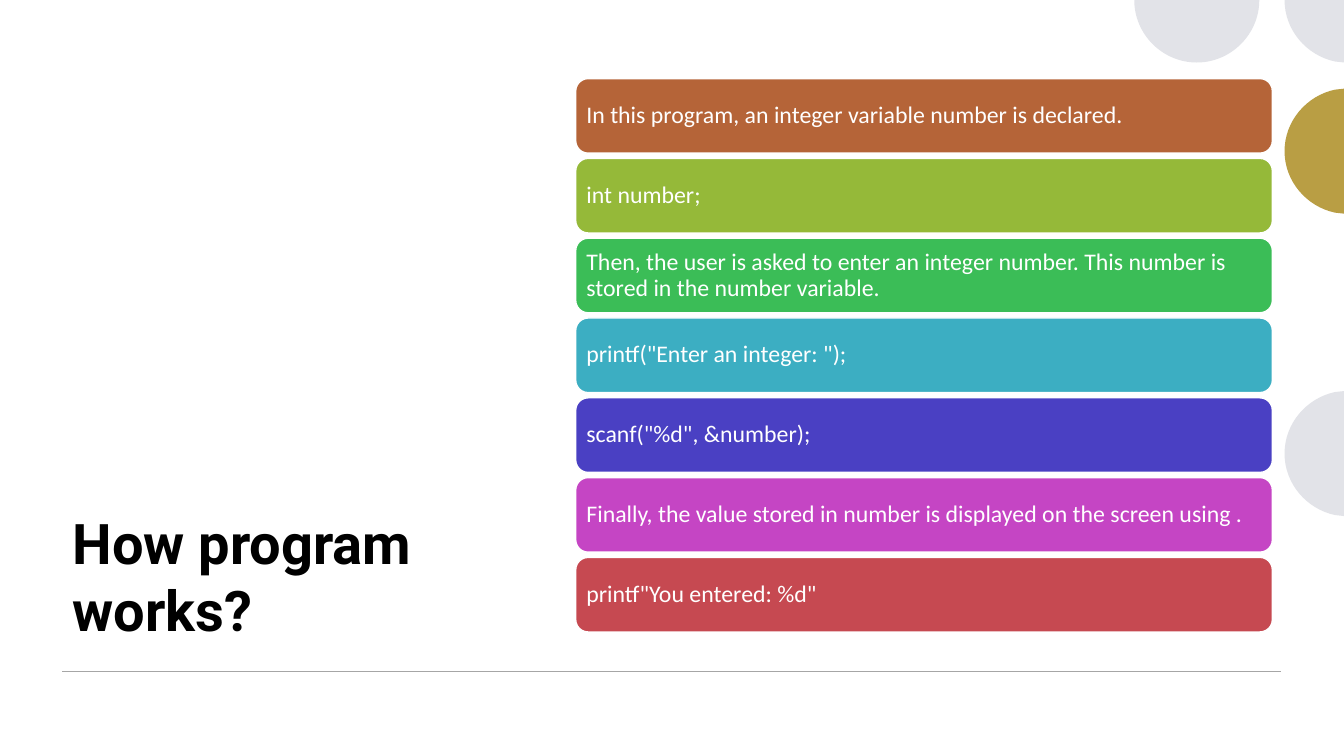
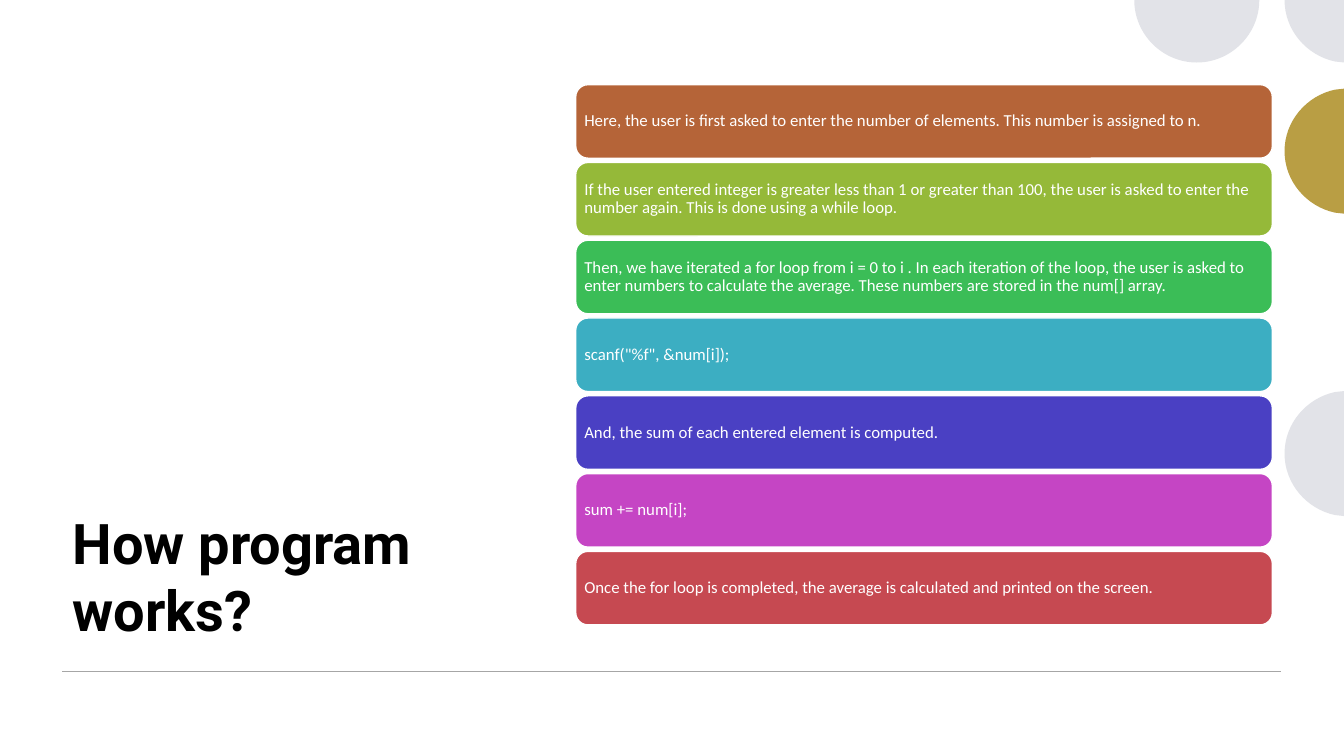
from pptx import Presentation
from pptx.dml.color import RGBColor
from pptx.enum.shapes import MSO_CONNECTOR, MSO_SHAPE
from pptx.enum.text import MSO_ANCHOR as ANCHOR, MSO_AUTO_SIZE as AUTO_SIZE, PP_ALIGN as ALIGN
from pptx.oxml.ns import qn
from pptx.util import Inches, Pt

WIDTH, HEIGHT = 13.33, 7.5
COLORS = {
    "white": "FFFFFF", "black": "000000", "rule": "A6A6A6",
    "pale": "E2E3E8", "gold": "B99E44",
    "rust": "B56438", "lime": "95B939", "green": "3BBD57", "teal": "3CAEC2",
    "indigo": "4A40C3", "magenta": "C545C4", "red": "C64951",
}
STEP_COLORS = ["rust", "lime", "green", "teal", "indigo", "magenta", "red"]

# Outlines are lists of segments: one point is a line, three points are a curve.
TOP_HALF = [
    [(11.25, 0)], [(12.49, 0)],
    [(12.49, 0.34), (12.21, 0.62), (11.87, 0.62)],
    [(11.53, 0.62), (11.25, 0.34), (11.25, 0)],
]
LOWER_ARC = [(12.96, 0.55), (12.74, 0.3), (12.74, 0)]
UPPER_ARC = [(12.74, -0.3), (12.96, -0.55), (13.24, -0.61)]
RIGHT_HALF = [[(WIDTH, -0.62)], [(WIDTH, 0.62)], [(13.24, 0.61)], LOWER_ARC, UPPER_ARC]
CORNER = [[(12.74, 0)], [(WIDTH, 0)], [(WIDTH, 0.62)], [(13.24, 0.61)], LOWER_ARC]
CIRCLES = [(TOP_HALF, 0, "pale"), (RIGHT_HALF, 4.5, "pale"), (RIGHT_HALF, 1.5, "gold"), (CORNER, 0, "pale")]

INPUT_STEPS = [
    "In this program, an integer variable number is declared.",
    "int number;",
    "Then, the user is asked to enter an integer number. This number is stored in the number variable.",
    'printf("Enter an integer: ");',
    'scanf("%d", &number);',
    "Finally, the value stored in number is displayed on the screen using .",
    'printf"You entered: %d"',
]
AVERAGE_STEPS = [
    "Here, the user is first asked to enter the number of elements. This number is assigned to n.",
    "If the user entered integer is greater less than 1 or greater than 100, the user is asked "
    "to enter the number again. This is done using a while loop.",
    "Then, we have iterated a for loop from i = 0 to i . In each iteration of the loop, the user "
    "is asked to enter numbers to calculate the average. These numbers are stored in the num[] array.",
    'scanf("%f", &num[i]);',
    "And, the sum of each entered element is computed.",
    "sum += num[i];",
    "Once the for loop is completed, the average is calculated and printed on the screen.",
]


def rgb(name):
    return RGBColor.from_string(COLORS[name])


def write(tf, text, *, size, font, color, bold=False, anchor=ANCHOR.MIDDLE, inset=None, spacing=None):
    tf.word_wrap = True
    tf.auto_size = AUTO_SIZE.NONE
    tf.vertical_anchor = anchor
    if inset is not None:
        tf.margin_left = tf.margin_right = tf.margin_top = tf.margin_bottom = Inches(inset)
    p = tf.paragraphs[0]
    p.alignment = ALIGN.LEFT
    p.line_spacing = spacing
    r = p.add_run()
    r.text = text
    r.font.size = Pt(size)
    r.font.name = font
    r.font.bold = bold
    r.font.color.rgb = rgb(color)


def bend(sp, segments):
    """Turn each run of three line points that stands for a curve into a Bézier curve."""
    lines = iter(sp._element.findall(".//" + qn("a:lnTo")))
    for segment in segments[1:]:
        parts = [next(lines) for _ in segment]
        if len(parts) == 3:
            curve = parts[0].makeelement(qn("a:cubicBezTo"), {})
            parts[0].addprevious(curve)
            for part in parts:
                curve.append(part[0])
                part.getparent().remove(part)


class Deck:
    def __init__(self):
        self.prs = Presentation()
        self.prs.slide_width, self.prs.slide_height = Inches(WIDTH), Inches(HEIGHT)
        self.slide = None

    def add_slide(self, title):
        self.slide = self.prs.slides.add_slide(self.prs.slide_layouts[5])
        self.title(title)
        for circle in CIRCLES:
            self.circle(*circle)
        self.rule(0.62, 12.71, 6.66)

    def title(self, text):
        sp = self.slide.shapes.title
        sp.left, sp.top, sp.width, sp.height = map(Inches, (0.62, 2.72, 3.95, 3.71))
        write(sp.text_frame, text, size=40, font="Roboto", color="black", bold=True, anchor=ANCHOR.BOTTOM)

    def circle(self, segments, cy, color):
        """Draw a circle cut off at the slide edge, its centre at height cy."""
        points = [(Inches(x), Inches(cy + y)) for segment in segments for x, y in segment]
        outline = self.slide.shapes.build_freeform(*points[0])
        outline.add_line_segments(points[1:], close=False)
        sp = outline.convert_to_shape()
        bend(sp, segments)
        self.paint(sp, color)
        sp.line.fill.background()

    def rule(self, x1, x2, y):
        line = self.slide.shapes.add_connector(
            MSO_CONNECTOR.STRAIGHT, Inches(x1), Inches(y), Inches(x2), Inches(y))
        line.line.color.rgb = rgb("rule")
        line.line.width = Pt(1)
        line._element.spPr.append(line._element.makeelement(qn("a:effectLst"), {}))

    def paint(self, sp, color):
        sp.shadow.inherit = False
        sp.fill.solid()
        sp.fill.fore_color.rgb = rgb(color)

    def step(self, text, color, top, height, size, inset):
        sp = self.slide.shapes.add_shape(
            MSO_SHAPE.ROUNDED_RECTANGLE, Inches(5.71), Inches(top), Inches(6.91), Inches(height))
        self.paint(sp, color)
        sp.line.color.rgb = rgb("white")
        sp.line.width = Pt(1)
        write(sp.text_frame, text, size=size, font="Calibri", color="white", inset=inset, spacing=0.9)

    def steps(self, texts, first, last, height, size, inset):
        """Spread the steps evenly between the tops of the first and the last."""
        pitch = (last - first) / (len(texts) - 1)
        for i, (text, color) in enumerate(zip(texts, STEP_COLORS)):
            self.step(text, color, first + i * pitch, height, size, inset)


def main():
    deck = Deck()
    deck.add_slide("How program works?")
    deck.steps(INPUT_STEPS, first=0.78, last=5.53, height=0.74, size=17, inset=0.07)
    deck.add_slide("How program works?")
    deck.steps(AVERAGE_STEPS, first=0.84, last=5.47, height=0.73, size=12, inset=0.05)
    deck.prs.save("out.pptx")


if __name__ == "__main__":
    main()
